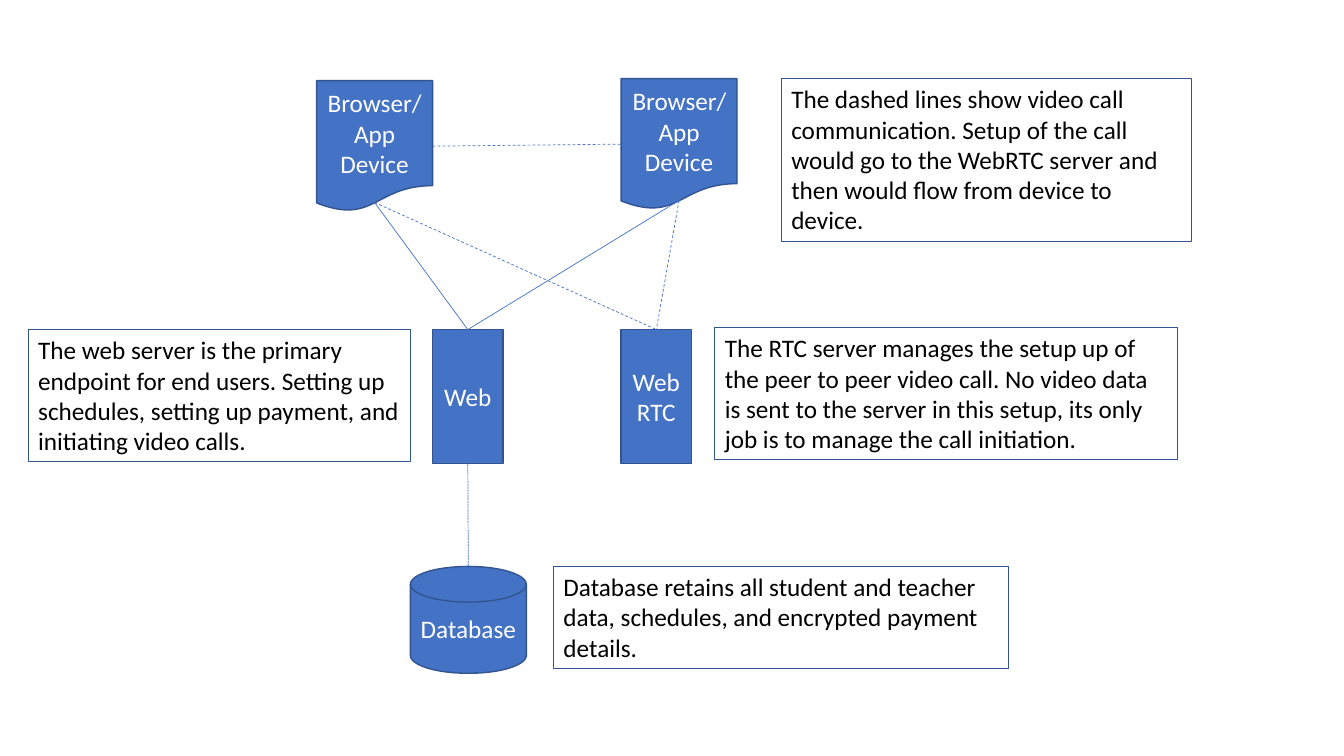
from dataclasses import dataclass

from pptx import Presentation
from pptx.dml.color import RGBColor
from pptx.enum.dml import MSO_LINE
from pptx.enum.shapes import MSO_CONNECTOR, MSO_SHAPE
from pptx.enum.text import MSO_ANCHOR, MSO_AUTO_SIZE, PP_ALIGN
from pptx.oxml.ns import qn
from pptx.util import Inches, Pt

COLORS = {"node": "4472C4", "edge": "325491", "light": "FFFFFF", "dark": "000000"}
FONT = {"name": "Calibri", "size": Pt(18)}
NODE_FRAME = {"word_wrap": True, "vertical_anchor": MSO_ANCHOR.MIDDLE}
NOTE_FRAME = {"word_wrap": True, "auto_size": MSO_AUTO_SIZE.SHAPE_TO_FIT_TEXT}
SITES = {
    "top": (0, 0.5, 0),
    "right": (3, 1, 0.5),
    "bottom": (2, 0.5, 1),
    "left": (1, 0, 0.5),
    "wave": (2, 0.5, 0.93),
    "lid": (1, 0.5, 0),
}

prs = Presentation()
prs.slide_width, prs.slide_height = Inches(13.33), Inches(7.5)
COL, ROW = prs.slide_width / 133.3, prs.slide_height / 75
s = prs.slides.add_slide(prs.slide_layouts[6])


@dataclass
class Box:
    text: str
    col: float
    row: float
    cols: float
    rows: float

    def frame(self) -> tuple[int, int, int, int]:
        return (round(self.col * COL), round(self.row * ROW),
                round(self.cols * COL), round(self.rows * ROW))


@dataclass
class Node(Box):
    kind: MSO_SHAPE


@dataclass
class Link:
    start: str
    start_site: str
    end: str
    end_site: str
    dash: MSO_LINE | None = None


def rgb(key: str) -> RGBColor:
    return RGBColor.from_string(COLORS[key])


def apply(target, values: dict) -> None:
    for name, value in values.items():
        setattr(target, name, value)


def style_line(line, color: str, width: float) -> None:
    line.color.rgb = rgb(color)
    line.width = Pt(width)


def write(sp, text: str, color: str, frame: dict, align: PP_ALIGN) -> None:
    tf = sp.text_frame
    apply(tf, frame)
    p = tf.paragraphs[0]
    p.alignment = align
    r = p.add_run()
    r.text = text
    apply(r.font, FONT)
    r.font.color.rgb = rgb(color)


def draw_node(node: Node):
    sp = s.shapes.add_shape(node.kind, *node.frame())
    sp.shadow.inherit = False
    sp.fill.solid()
    sp.fill.fore_color.rgb = rgb("node")
    style_line(sp.line, "edge", 1)
    write(sp, node.text, "light", NODE_FRAME, PP_ALIGN.CENTER)
    return sp


def draw_note(note: Box) -> None:
    sp = s.shapes.add_textbox(*note.frame())
    style_line(sp.line, "edge", 0.75)
    write(sp, note.text, "dark", NOTE_FRAME, PP_ALIGN.LEFT)


def site_point(sp, site: str) -> tuple[int, int]:
    _, across, down = SITES[site]
    return round(sp.left + sp.width * across), round(sp.top + sp.height * down)


def draw_link(link: Link) -> None:
    start, end = shapes[link.start], shapes[link.end]
    x1, y1 = site_point(start, link.start_site)
    x2, y2 = site_point(end, link.end_site)
    cx = s.shapes.add_connector(MSO_CONNECTOR.STRAIGHT, x1, y1, x2, y2)
    cx.begin_connect(start, SITES[link.start_site][0])
    cx.end_connect(end, SITES[link.end_site][0])
    apply(cx, {"begin_x": x1, "begin_y": y1, "end_x": x2, "end_y": y2})
    style_line(cx.line, "node", 0.5)
    if link.dash:
        cx.line.dash_style = link.dash
    props = cx._element.spPr
    props.append(props.makeelement(qn("a:effectLst"), {}))


DEVICE, SERVER = (11.5, 13), (7, 13.3)
NODES = {
    "database": Node("Database", 40.7, 56.2, 11.5, 10.6, MSO_SHAPE.FLOWCHART_MAGNETIC_DISK),
    "web": Node("Web", 42.9, 32.7, *SERVER, MSO_SHAPE.FLOWCHART_PROCESS),
    "rtc": Node("WebRTC", 61.6, 32.7, *SERVER, MSO_SHAPE.FLOWCHART_PROCESS),
    "caller": Node("Browser/ App Device", 31.4, 8, *DEVICE, MSO_SHAPE.FLOWCHART_DOCUMENT),
    "callee": Node("Browser/App Device", 61.6, 7.8, *DEVICE, MSO_SHAPE.FLOWCHART_DOCUMENT),
}
NOTES = [
    Box("Database retains all student and teacher data, schedules, and encrypted "
        "payment details.", 54.9, 56.2, 45.1, 10.1),
    Box("The RTC server manages the setup up of the peer to peer video call. No video "
        "data is sent to the server in this setup, its only job is to manage the call "
        "initiation.", 70.9, 32.5, 45.9, 13.1),
    Box("The web server is the primary endpoint for end users. Setting up schedules, "
        "setting up payment, and initiating video calls.", 2.8, 32.7, 37.9, 13.1),
    Box("The dashed lines show video call communication. Setup of the call would go to "
        "the WebRTC server and then would flow from device to device.",
        77.5, 7.8, 40.7, 16.2),
]
LINKS = [
    Link("caller", "wave", "web", "top"),
    Link("callee", "wave", "web", "top"),
    Link("web", "bottom", "database", "lid", MSO_LINE.SQUARE_DOT),
    Link("caller", "wave", "rtc", "top", MSO_LINE.DASH),
    Link("callee", "wave", "rtc", "top", MSO_LINE.DASH),
    Link("caller", "right", "callee", "left", MSO_LINE.DASH),
]

shapes = {name: draw_node(node) for name, node in NODES.items()}
for note in NOTES:
    draw_note(note)
for link in LINKS:
    draw_link(link)

prs.save("out.pptx")
